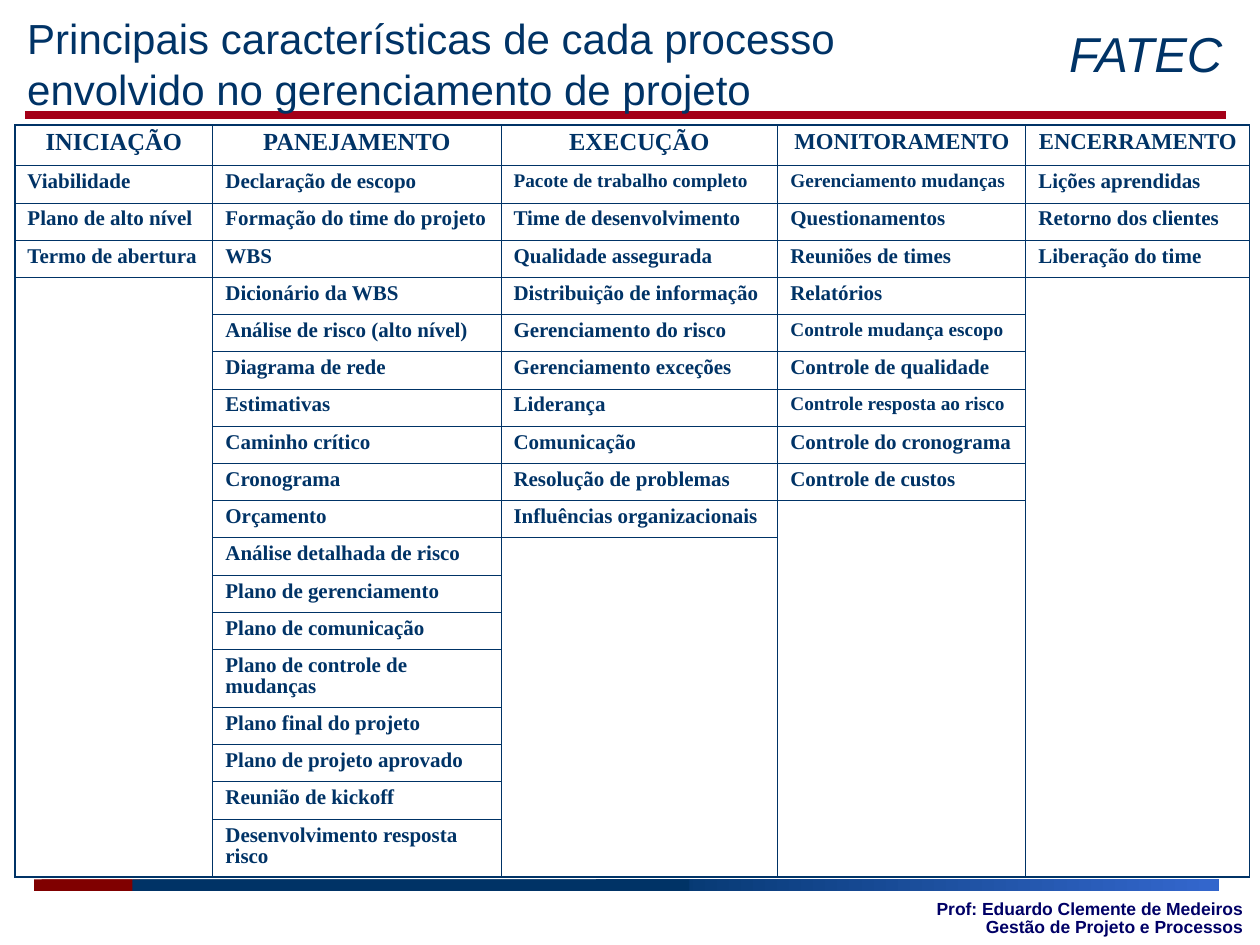
from lxml.etree import SubElement
from pptx import Presentation
from pptx.dml.color import RGBColor
from pptx.enum.shapes import MSO_CONNECTOR, MSO_SHAPE
from pptx.enum.text import MSO_ANCHOR, PP_ALIGN
from pptx.oxml.ns import qn
from pptx.util import Cm, Pt

NAVY = "003366"
RED = "800000"
BLUE = "3366CC"
WIDTHS = [3.99, 5.81, 5.58, 5, 4.51]
LISTS = [
    ["INICIAÇÃO", "Viabilidade", "Plano de alto nível", "Termo de abertura"],
    ["PANEJAMENTO", "Declaração de escopo", "Formação do time do projeto",
     "WBS", "Dicionário da WBS", "Análise de risco (alto nível)",
     "Diagrama de rede", "Estimativas", "Caminho crítico", "Cronograma",
     "Orçamento", "Análise detalhada de risco", "Plano de gerenciamento",
     "Plano de comunicação", "Plano de controle de mudanças",
     "Plano final do projeto", "Plano de projeto aprovado",
     "Reunião de kickoff", "Desenvolvimento resposta risco"],
    ["EXECUÇÃO", "Pacote de trabalho completo", "Time de desenvolvimento",
     "Qualidade assegurada", "Distribuição de informação",
     "Gerenciamento do risco", "Gerenciamento exceções", "Liderança",
     "Comunicação", "Resolução de problemas", "Influências organizacionais"],
    ["MONITORAMENTO", "Gerenciamento mudanças", "Questionamentos",
     "Reuniões de times", "Relatórios", "Controle mudança escopo",
     "Controle de qualidade", "Controle resposta ao risco",
     "Controle do cronograma", "Controle de custos"],
    ["ENCERRAMENTO", "Lições aprendidas", "Retorno dos clientes",
     "Liberação do time"],
]
SMALL = {"Pacote de trabalho completo", "Gerenciamento mudanças",
         "Controle mudança escopo", "Controle resposta ao risco"}
TALL = {"Plano de controle de mudanças", "Desenvolvimento resposta risco"}


def paint(color, code):
    color.rgb = RGBColor.from_string(code)


def write(frame, text, code, para, font):
    line = frame.paragraphs[0]
    run = line.add_run()
    run.text = text
    for key, value in para.items():
        setattr(line, key, value)
    for key, value in font.items():
        setattr(run.font, key, value)
    paint(run.font.color, code)


def add_text(slide, area, text, code, para, font, anchor=MSO_ANCHOR.TOP):
    frame = slide.shapes.add_textbox(*map(Cm, area)).text_frame
    frame.word_wrap = True
    frame.vertical_anchor = anchor
    write(frame, text, code, para, {"name": "Arial", **font})


def add_bar(slide, left, width, codes):
    bar = slide.shapes.add_shape(MSO_SHAPE.RECTANGLE, Cm(left), Cm(17.73),
                                 Cm(width), Cm(0.23))
    bar.shadow.inherit = False
    bar.line.fill.background()
    if len(codes) == 1:
        bar.fill.solid()
        paint(bar.fill.fore_color, codes[0])
        return
    bar.fill.gradient()
    bar.fill.gradient_angle = 0
    for stop, code, place in zip(bar.fill.gradient_stops, codes, (0, 1)):
        paint(stop.color, code)
        stop.position = place


def add_strip(slide, left):
    add_bar(slide, left, 1.98, [RED])
    add_bar(slide, left + 11.33, 12.4, [NAVY, BLUE])
    add_bar(slide, left + 1.98, 11.23, [NAVY])


def add_rule(slide):
    rule = slide.shapes.add_connector(MSO_CONNECTOR.STRAIGHT, Cm(0.5), Cm(2.31),
                                      Cm(24.71), Cm(2.31))
    rule.line.width = Pt(4.5)
    paint(rule.line.color, "A40018")
    SubElement(rule._element.spPr, qn("a:effectLst"))


def add_edges(cell, thick):
    props = cell._tc.get_or_add_tcPr()
    for side in "LRTB":
        width = Pt(1.08 if side in thick else 0.45)
        edge = SubElement(props, qn("a:ln" + side), w=str(int(width)))
        fill = SubElement(edge, qn("a:solidFill"))
        SubElement(fill, qn("a:srgbClr"), val=NAVY)
    cell.fill.background()


def fill_cell(cell, text, head):
    if head:
        size = 13 if len(text) > 11 else 14
    else:
        size = 11 if text in SMALL else 12
    if not text:
        SubElement(cell.text_frame.paragraphs[0]._p, qn("a:endParaRPr"),
                   sz=str(size * 100))
        return
    para = {"line_spacing": 0.9,
            "alignment": PP_ALIGN.CENTER if head else PP_ALIGN.LEFT}
    font = {"name": "Times New Roman", "size": Pt(size), "bold": True}
    write(cell.text_frame, text, NAVY, para, font)


def add_grid(slide):
    count = max(map(len, LISTS))
    heights = [0.82] + [1.17 if text in TALL else 0.75 for text in LISTS[1][1:]]
    grid = slide.shapes.add_table(count, len(LISTS), Cm(0.3), Cm(2.52),
                                  Cm(sum(WIDTHS)), Cm(sum(heights))).table
    grid.first_row = grid.horz_banding = False
    for row, height in zip(grid.rows, heights):
        row.height = Cm(height)
    for col, (items, width) in enumerate(zip(LISTS, WIDTHS)):
        grid.columns[col].width = Cm(width)
        if len(items) < count:
            grid.cell(len(items), col).merge(grid.cell(count - 1, col))
        for row in range(count):
            cell = grid.cell(row, col)
            text = items[row] if row < len(items) else ""
            fill_cell(cell, text, row == 0)
            outer = {"L": col == 0, "R": col == len(LISTS) - 1, "T": row == 0,
                     "B": row == count - 1 or row == len(items)}
            add_edges(cell, {side for side in outer if outer[side]})


def main():
    deck = Presentation()
    deck.slide_width, deck.slide_height = Cm(25.4), Cm(19.05)
    slide = deck.slides.add_slide(deck.slide_layouts[6])
    add_strip(slide, 0.84)
    add_rule(slide)
    add_strip(slide, 0.69)
    right = {"alignment": PP_ALIGN.RIGHT, "line_spacing": 0.85}
    add_text(slide, (17.91, 18.14, 7.39, 0.79),
             "Prof: Eduardo Clemente de Medeiros Gestão de Projeto e Processos",
             "000066", right, {"size": Pt(10), "bold": True}, MSO_ANCHOR.MIDDLE)
    add_text(slide, (20.09, 0.53, 4.8, 1.27), "FATEC", NAVY, right,
             {"size": Pt(28), "italic": True})
    add_text(slide, (0.3, 0.13, 18.59, 2.29),
             "Principais características de cada processo "
             "envolvido no gerenciamento de projeto",
             NAVY, {"alignment": PP_ALIGN.LEFT}, {"size": Pt(24)})
    add_grid(slide)
    deck.save("out.pptx")


if __name__ == "__main__":
    main()
